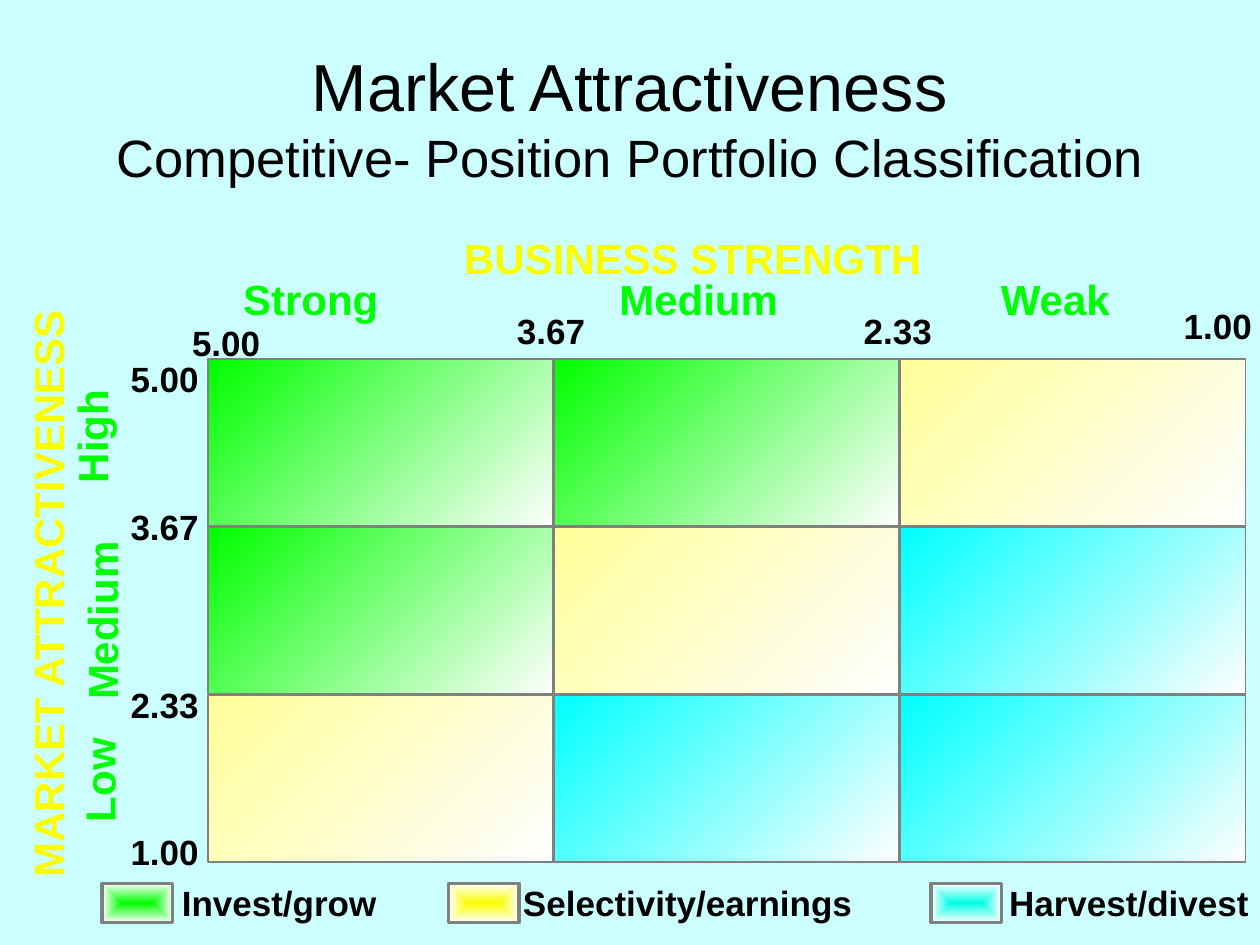
from pptx import Presentation
from pptx.dml.color import RGBColor
from pptx.enum.shapes import MSO_SHAPE as Preset
from pptx.enum.text import MSO_ANCHOR as Anchor, PP_ALIGN as Align
from pptx.oxml import parse_xml
from pptx.oxml.ns import nsdecls, qn
from pptx.util import Cm, Pt

COLORS = {
    "background": "CCFFFF",
    "text": "000000",
    "axis": "FAFD00",
    "level": "00FF00",
    "border": "808080",
    "white": "FEFEFE",
    "invest": "00FF00",
    "select": "FFFF99",
    "harvest": "00FFFF",
    "select_key": "FAFD00",
    "harvest_key": "01FFE7",
}


def rgb(name):
    return RGBColor.from_string(COLORS[name])


class PortfolioSlide:
    font_name = "Arial"

    def __init__(self, deck):
        self.slide = deck.slides.add_slide(deck.slide_layouts[6])
        backdrop = self.slide.background.fill
        backdrop.solid()
        backdrop.fore_color.rgb = rgb("background")

    def rectangle(self, left, top, width, height):
        box = self.slide.shapes.add_shape(
            Preset.RECTANGLE, Cm(left), Cm(top), Cm(width), Cm(height))
        box.shadow.inherit = False
        return box

    def first_line(self, box, wrap):
        frame = box.text_frame
        frame.word_wrap = wrap
        frame.vertical_anchor = Anchor.MIDDLE
        line = frame.paragraphs[0]
        line.alignment = Align.CENTER
        return line

    def title(self, heading, subheading):
        box = self.slide.shapes.add_textbox(Cm(1.27), Cm(0.76), Cm(22.86), Cm(3.18))
        line = self.first_line(box, wrap=True)
        line.font.name = self.font_name
        line.font.color.rgb = rgb("text")
        main = line.add_run()
        main.text, main.font.size = heading, Pt(38)
        line.add_line_break()
        sub = line.add_run()
        sub.text, sub.font.size = subheading, Pt(30)

    def label(self, text, left, top, width=0.84, height=0.84,
              size=20, color="text", rotation=0):
        # An unfilled rectangle lets unwrapped text run past its sides
        box = self.rectangle(left, top, width, height)
        box.fill.background()
        box.line.fill.background()
        box.rotation = rotation
        line = self.first_line(box, wrap=False)
        line.text = text
        font = line.font
        font.name, font.size, font.bold = self.font_name, Pt(size), True
        font.color.rgb = rgb(color)

    def gradient_box(self, left, top, width, height, start, end, border):
        box = self.rectangle(left, top, width, height)
        box.fill.gradient()
        for stop, color in zip(box.fill.gradient_stops, (start, end)):
            stop.color.rgb = rgb(color)
        box.line.color.rgb = rgb("border")
        box.line.width = Pt(border)
        return box

    def cell(self, row, column, strategy):
        box = self.gradient_box(4.19 + 6.98 * column, 7.24 + 3.39 * row,
                                6.96, 3.36, "white", strategy, 1)
        box.fill.gradient_angle = 135

    def legend_key(self, left, color):
        box = self.gradient_box(left, 17.81, 1.42, 0.79, color, "white", 2)
        # Gradient spreads from the centre to the edges
        gradient = box.element.spPr.find(qn("a:gradFill"))
        gradient.replace(gradient.find(qn("a:lin")), parse_xml(
            f'<a:path {nsdecls("a")} path="rect"><a:fillToRect '
            'l="50000" t="50000" r="50000" b="50000"/></a:path>'))


def main():
    deck = Presentation()
    deck.slide_width, deck.slide_height = Cm(25.4), Cm(19.05)
    page = PortfolioSlide(deck)
    page.title("Market Attractiveness",
               "Competitive- Position Portfolio Classification")

    # Strategy matrix, from high to low attractiveness
    matrix = [
        ["invest", "invest", "select"],
        ["invest", "select", "harvest"],
        ["select", "harvest", "harvest"],
    ]
    for row, strategies in enumerate(matrix):
        for column, strategy in enumerate(strategies):
            page.cell(row, column, strategy)

    # Axis names
    page.label("MARKET ATTRACTIVENESS", -4.85, 11.46, 11.61, 1.02, 24, "axis", 270)
    page.label("BUSINESS STRENGTH", 9.42, 4.78, 9.09, size=24, color="axis")

    # Axis levels
    for level, left, top, width, height in [
        ("High", 0.89, 8.38, 1.9, 0.84),
        ("Medium", 0.56, 12.09, 2.97, 0.84),
        ("Low", 0.99, 15.04, 2.01, 1.37),
    ]:
        page.label(level, left, top, width, height, 24, "level", 270)
    for level, left in [("Strong", 4.78), ("Medium", 12.6), ("Weak", 19.79)]:
        page.label(level, left, 5.61, 2.97, size=24, color="level")

    # Scores on both axes
    scores = ["5.00", "3.67", "2.33", "1.00"]
    for score, top in zip(scores, [7.21, 10.19, 13.79, 16.74]):
        page.label(score, 2.9, top)
    score_places = [(4.14, 6.48), (10.69, 6.25), (17.68, 6.25), (24.13, 6.15)]
    for score, (left, top) in zip(scores, score_places):
        page.label(score, left, top)

    # Legend
    for strategy, color, key_left, left, width in [
        ("Invest/grow", "invest", 2.06, 3.51, 4.24),
        ("Selectivity/earnings", "select_key", 9.04, 10.69, 6.35),
        ("Harvest/divest", "harvest_key", 18.77, 20.22, 5.08),
    ]:
        page.legend_key(key_left, color)
        page.label(strategy, left, 17.78, width)

    deck.save("out.pptx")


if __name__ == "__main__":
    main()
